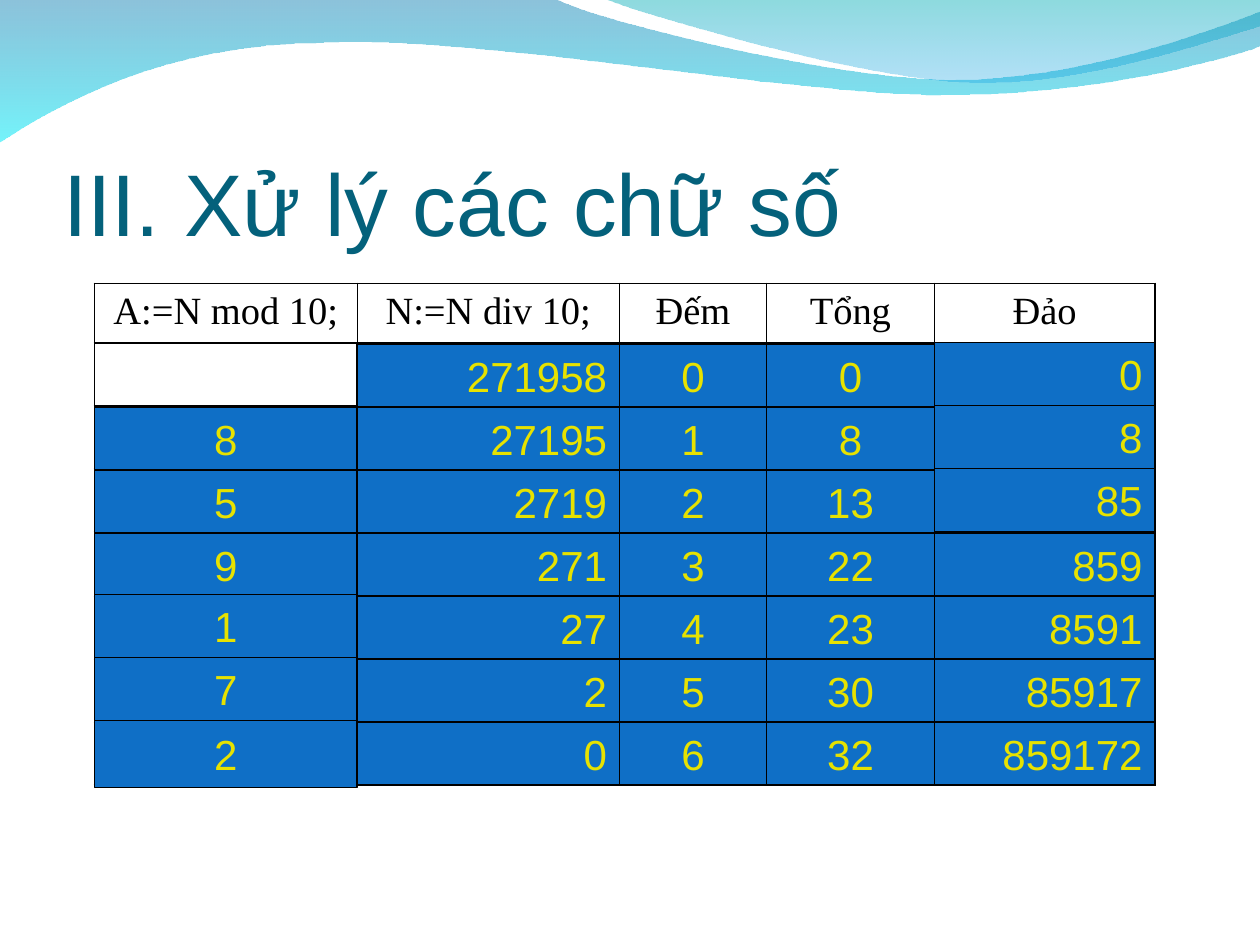
from itertools import accumulate

from lxml import etree
from pptx import Presentation
from pptx.dml.color import RGBColor
from pptx.enum.shapes import MSO_SHAPE
from pptx.enum.text import MSO_ANCHOR, MSO_AUTO_SIZE, PP_ALIGN
from pptx.oxml.ns import qn
from pptx.util import Inches, Pt

RECTANGLE = MSO_SHAPE.RECTANGLE
LEFT, CENTER, RIGHT = PP_ALIGN.LEFT, PP_ALIGN.CENTER, PP_ALIGN.RIGHT
MIDDLE, BOTTOM = MSO_ANCHOR.MIDDLE, MSO_ANCHOR.BOTTOM
NO_AUTOFIT = MSO_AUTO_SIZE.NONE

TABLE_LEFT, TABLE_TOP, TABLE_HEIGHT = 0.75, 2.25, 4
COLUMN_WIDTHS = [25 / 12, 25 / 12, 7 / 6, 4 / 3, 7 / 4]
COLUMN_LEFTS = list(accumulate(COLUMN_WIDTHS[:-1], initial=TABLE_LEFT))
ROW_HEIGHTS = [0.47, 0.5, 0.5, 0.5, 0.51, 0.5, 0.5, 0.5]
TILES_TOP, TILE_HEIGHT = 2.73, 0.5
RAISED_TILES = [(4, 0), (5, 0), (6, 0), (0, 4), (1, 4), (2, 4)]
TALL_TILE, TALL_HEIGHT = (6, 0), 0.53
THIN, THICK = 0.45, 1.08

HEADERS = ["A:=N mod 10;", "N:=N div 10;", "Đếm", "Tổng", "Đảo"]
ALIGNMENTS = [CENTER, RIGHT, CENTER, CENTER, RIGHT]
STEPS = [
    ["", "271958", "0", "0", "0"],
    ["8", "27195", "1", "8", "8"],
    ["5", "2719", "2", "13", "85"],
    ["9", "271", "3", "22", "859"],
    ["1", "27", "4", "23", "8591"],
    ["7", "2", "5", "30", "85917"],
    ["2", "0", "6", "32", "859172"],
]

LARGE_WAVE = [
    [(0, -0.01)],
    [(4.4, -0.01)],
    [(4.76, 0.17), (6.64, 0.63), (7.58, 0.63)],
    [(8.53, 0.63), (9.58, 0.26), (10, 0.09)],
    [(10.01, 0.36)],
    [(9.83, 0.44), (8.7, 0.76), (7.46, 0.75)],
    [(6.22, 0.75), (3.82, 0.28), (2.57, 0.34)],
    [(1.29, 0.35), (0.46, 0.83), (-0.01, 1.13)],
    [(0, -0.01)],
]
SMALL_WAVE = [
    [(4.79, -0.01)],
    [(5.09, 0.11), (6.82, 0.62), (7.69, 0.65)],
    [(8.56, 0.69), (9.61, 0.32), (10, 0.21)],
    [(10, 0)],
    [(4.79, -0.01)],
]


def color(hex_string):
    return RGBColor.from_string(hex_string)


def format_text(text_frame, text, font_name, size, font_color, alignment):
    text_frame.text = text
    paragraph = text_frame.paragraphs[0]
    paragraph.alignment = alignment
    for run in paragraph.runs:
        run.font.name = font_name
        run.font.size = Pt(size)
        run.font.color.rgb = color(font_color)
    return paragraph


def bend_segments(shape, segments):
    lines = iter(list(shape.element.iter(qn("a:lnTo"))))
    for segment in segments[1:]:
        pieces = [next(lines) for point in segment]
        if len(pieces) == 3:
            curve = etree.Element(qn("a:cubicBezTo"))
            pieces[0].addprevious(curve)
            for piece in pieces:
                curve.append(piece[0])
                piece.getparent().remove(piece)


def add_wave(slide, segments, stops):
    start, *vertices = [
        (Inches(x), Inches(y)) for segment in segments for x, y in segment
    ]
    builder = slide.shapes.build_freeform(*start)
    builder.add_line_segments(vertices, close=True)
    shape = builder.convert_to_shape()
    bend_segments(shape, segments)
    shape.shadow.inherit = False
    shape.line.fill.background()
    shape.fill.gradient()
    shape.fill.gradient_angle = 270
    for stop, (stop_color, opacity) in zip(shape.fill.gradient_stops, stops):
        stop.color.rgb = color(stop_color)
    for rgb, (stop_color, opacity) in zip(shape.element.iter(qn("a:srgbClr")), stops):
        etree.SubElement(rgb, qn("a:alpha"), val=str(opacity * 1000))
    return shape


def move_to_master(presentation, shapes):
    tree = presentation.slide_master.element.find(".//" + qn("p:spTree"))
    for index, shape in enumerate(shapes, start=2):
        tree.insert(index, shape.element)


def add_title(slide, text):
    title = slide.shapes.title
    title.left, title.top = Inches(0.5), Inches(0.77)
    title.width, title.height = Inches(9), Inches(1.25)
    text_frame = title.text_frame
    text_frame.auto_size = NO_AUTOFIT
    text_frame.vertical_anchor = BOTTOM
    text_frame.margin_left = text_frame.margin_right = text_frame.margin_bottom = 0
    text_frame.margin_top = Inches(0.05)
    format_text(text_frame, text, "Arial", 50, "04617B", LEFT)


def set_borders(cell, widths):
    properties = cell._tc.get_or_add_tcPr()
    for index, (side, width) in enumerate(zip("LRTB", widths)):
        line = etree.Element(qn(f"a:ln{side}"), w=str(Pt(width)))
        fill = etree.SubElement(line, qn("a:solidFill"))
        etree.SubElement(fill, qn("a:srgbClr"), val="000000")
        properties.insert(index, line)


def add_grid(slide):
    row_count, column_count = len(ROW_HEIGHTS), len(HEADERS)
    frame = slide.shapes.add_table(
        row_count, column_count, Inches(TABLE_LEFT), Inches(TABLE_TOP),
        Inches(sum(COLUMN_WIDTHS)), Inches(TABLE_HEIGHT),
    )
    table = frame.table
    table.first_row = table.horz_banding = False
    for column, width in zip(table.columns, COLUMN_WIDTHS):
        column.width = Inches(width)
    for row, height in zip(table.rows, ROW_HEIGHTS):
        row.height = Inches(height)
    frame.height = Inches(TABLE_HEIGHT)
    for i in range(row_count):
        for j in range(column_count):
            cell = table.cell(i, j)
            cell.fill.background()
            thick_sides = [j == 0, j == column_count - 1, i < 2, i in (0, row_count - 1)]
            set_borders(cell, [THICK if thick else THIN for thick in thick_sides])
    for j, header in enumerate(HEADERS):
        paragraph = format_text(
            table.cell(0, j).text_frame, header, "Times New Roman", 22, "000000", CENTER
        )
        paragraph.space_before = Pt(5.5)


def add_tile(slide, row, column, text):
    top = TILES_TOP + row * TILE_HEIGHT
    if (row, column) in RAISED_TILES:
        top -= 0.01
    height = TALL_HEIGHT if (row, column) == TALL_TILE else TILE_HEIGHT
    shape = slide.shapes.add_shape(
        RECTANGLE, Inches(COLUMN_LEFTS[column]), Inches(top),
        Inches(COLUMN_WIDTHS[column]), Inches(height),
    )
    shape.shadow.inherit = False
    shape.fill.solid()
    shape.fill.fore_color.rgb = color("0F6FC6")
    shape.line.color.rgb = color("000000")
    shape.line.width = Pt(0.75)
    shape.text_frame.word_wrap = False
    shape.text_frame.vertical_anchor = MIDDLE
    format_text(shape.text_frame, text, "Arial", 24, "E7E200", ALIGNMENTS[column])


def main():
    presentation = Presentation()
    presentation.slide_width, presentation.slide_height = Inches(10), Inches(7.5)
    slide = presentation.slides.add_slide(presentation.slide_layouts[5])
    waves = [
        add_wave(slide, LARGE_WAVE, [("0079AF", 45), ("00EBF8", 55)]),
        add_wave(slide, SMALL_WAVE, [("00ADB6", 45), ("009BE5", 30)]),
    ]
    move_to_master(presentation, waves)
    add_title(slide, "III. Xử lý các chữ số")
    add_grid(slide)
    for column in range(len(HEADERS)):
        for row, values in enumerate(STEPS):
            if values[column]:
                add_tile(slide, row, column, values[column])
    presentation.save("out.pptx")


if __name__ == "__main__":
    main()
